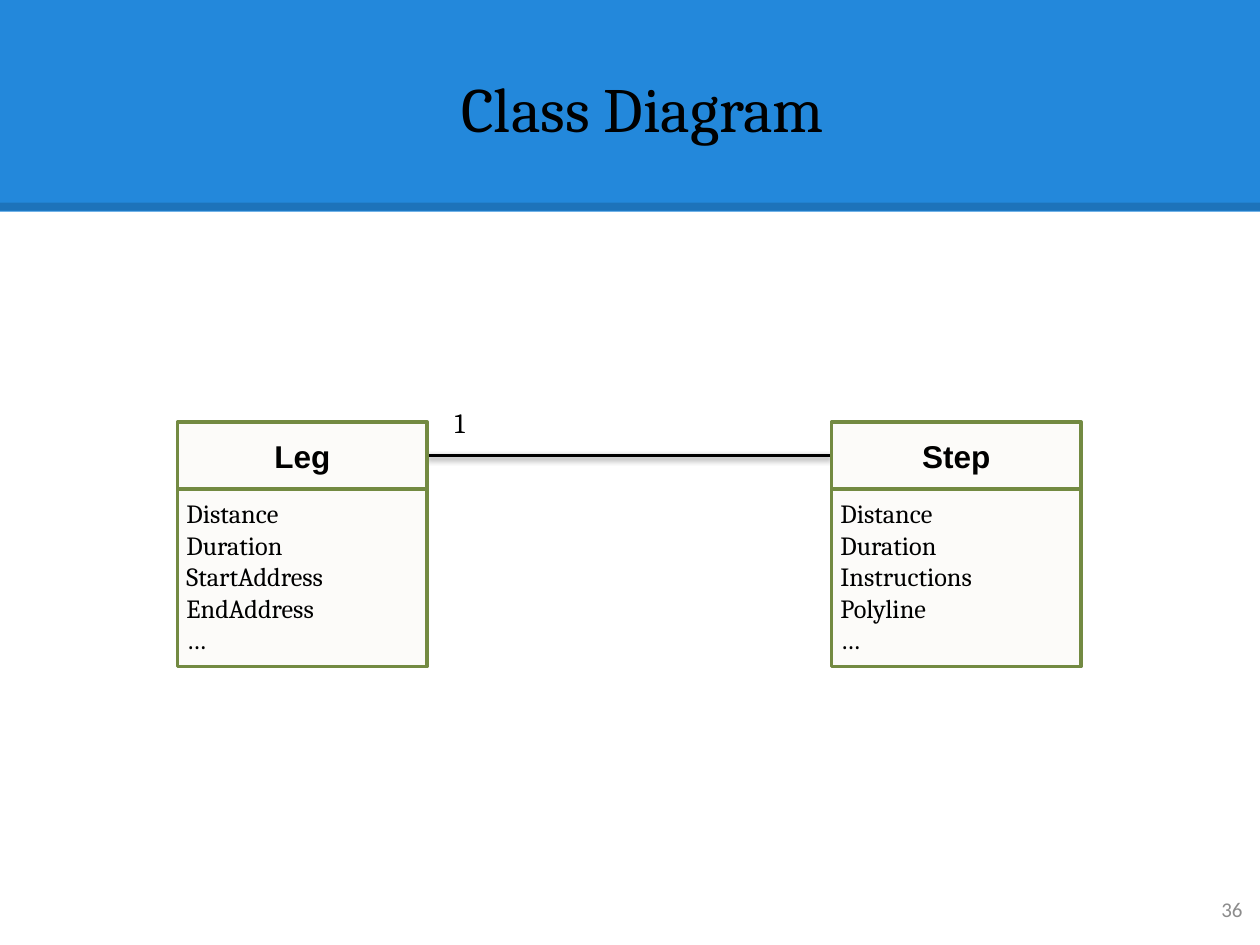
from dataclasses import dataclass

import lxml.etree
import pptx
import pptx.dml.color
import pptx.enum.shapes
import pptx.enum.text
import pptx.oxml
import pptx.oxml.ns
import pptx.util
from pptx.util import Inches

TITLE = "Class Diagram"
PAGE_NUMBER = "36"
MULTIPLICITY = "1"
CLASSES = [
    ("Leg", ["Distance", "Duration", "StartAddress", "EndAddress", "…"]),
    ("Step", ["Distance", "Duration", "Instructions", "Polyline", "…"]),
]


@dataclass(frozen=True)
class Theme:
    banner: str = "2388DB"
    ink: str = "000000"
    muted: str = "8C8C8C"
    box_fill: str = "FCFBF9"
    box_line: str = "738A42"
    serif: str = "Cambria"
    sans: str = "Arial"
    number: str = "Calibri"
    title_size: float = 36
    name_size: float = 18
    label_size: float = 16
    member_size: float = 15
    number_size: float = 12
    line_width: float = 2
    rule_width: float = 4.5


THEME = Theme()
ALIGN = pptx.enum.text.PP_ALIGN
ANCHOR = pptx.enum.text.MSO_ANCHOR

SLIDE_WIDTH, SLIDE_HEIGHT = 10, 7.5
BANNER_HEIGHT, RULE_TOP = 1.68, 1.64
BOX_LEFT, BOX_TOP, BOX_WIDTH, BOX_PITCH = 1.41, 3.35, 1.98, 5.19
NAME_HEIGHT, MEMBERS_HEIGHT = 0.53, 1.41


def color(value):
    return pptx.dml.color.RGBColor.from_string(value)


def write(shape, lines, font, size, ink=THEME.ink, bold=False, align=ALIGN.LEFT,
          anchor=ANCHOR.TOP, inset=0.1, wrap=True):
    frame = shape.text_frame
    frame.word_wrap = wrap
    frame.vertical_anchor = anchor
    frame.margin_left = frame.margin_right = Inches(inset)
    frame.margin_top = frame.margin_bottom = Inches(inset)
    frame.text = "\n".join(lines)
    for paragraph in frame.paragraphs:
        paragraph.alignment = align
        paragraph.font.name = font
        paragraph.font.size = pptx.util.Pt(size)
        paragraph.font.bold = bold
        paragraph.font.color.rgb = color(ink)


def add_text(slide, box, lines, *style, **options):
    shape = slide.shapes.add_textbox(*map(Inches, box))
    write(shape, lines, *style, **options)
    return shape


def add_rectangle(slide, box, fill, outline=None):
    shape = slide.shapes.add_shape(
        pptx.enum.shapes.MSO_SHAPE.RECTANGLE, *map(Inches, box))
    shape.shadow.inherit = False
    shape.fill.solid()
    shape.fill.fore_color.rgb = color(fill)
    if outline:
        shape.line.color.rgb = color(outline)
        shape.line.width = pptx.util.Pt(THEME.line_width)
    else:
        shape.line.fill.background()
    return shape


def add_line(slide, left, right, y, width):
    line = slide.shapes.add_connector(
        pptx.enum.shapes.MSO_CONNECTOR.STRAIGHT, *map(Inches, (left, y, right, y)))
    line.line.color.rgb = color(THEME.ink)
    line.line.width = pptx.util.Pt(width)
    properties = line._element.spPr
    effects = lxml.etree.SubElement(properties, pptx.oxml.ns.qn("a:effectLst"))
    return line, effects


def add_alpha(color_element, percent):
    alpha = lxml.etree.SubElement(color_element, pptx.oxml.ns.qn("a:alpha"))
    alpha.set("val", str(percent * 1000))


def add_shadow(effects):
    shadow = lxml.etree.SubElement(
        effects, pptx.oxml.ns.qn("a:outerShdw"), blurRad="40000", dist="20000",
        dir="5400000", rotWithShape="0")
    shade = lxml.etree.SubElement(
        shadow, pptx.oxml.ns.qn("a:srgbClr"), val=THEME.ink)
    add_alpha(shade, 38)


def add_class(slide, left, name, members):
    members_box = (left, BOX_TOP + NAME_HEIGHT, BOX_WIDTH, MEMBERS_HEIGHT)
    shape = add_rectangle(slide, members_box, THEME.box_fill, THEME.box_line)
    write(shape, members, THEME.serif, THEME.member_size, inset=0.07)
    name_box = (left, BOX_TOP, BOX_WIDTH, NAME_HEIGHT)
    shape = add_rectangle(slide, name_box, THEME.box_fill, THEME.box_line)
    write(shape, [name], THEME.sans, THEME.name_size, bold=True,
          align=ALIGN.CENTER, anchor=ANCHOR.MIDDLE, inset=0.07)


def add_header(slide):
    add_rectangle(slide, (0, 0, SLIDE_WIDTH, BANNER_HEIGHT), THEME.banner)
    rule, effects = add_line(slide, 0, SLIDE_WIDTH, RULE_TOP, THEME.rule_width)
    add_alpha(next(rule._element.spPr.iter(pptx.oxml.ns.qn("a:srgbClr"))), 15)
    add_text(slide, (0.24, 0.33, 9.72, 0.92), [TITLE], THEME.serif,
             THEME.title_size, align=ALIGN.CENTER, anchor=ANCHOR.BOTTOM)


def add_association(slide):
    y = BOX_TOP + NAME_HEIGHT / 2
    line, effects = add_line(
        slide, BOX_LEFT + BOX_WIDTH, BOX_LEFT + BOX_PITCH, y, THEME.line_width)
    add_shadow(effects)
    label = add_text(slide, (3.51, 3.17, 0.43, 0.37), [MULTIPLICITY],
                     THEME.serif, THEME.label_size, wrap=False)
    label.text_frame.margin_top = label.text_frame.margin_bottom = Inches(0.05)
    label.text_frame.auto_size = pptx.enum.text.MSO_AUTO_SIZE.SHAPE_TO_FIT_TEXT


def main():
    presentation = pptx.Presentation()
    presentation.slide_width = Inches(SLIDE_WIDTH)
    presentation.slide_height = Inches(SLIDE_HEIGHT)
    slide = presentation.slides.add_slide(presentation.slide_layouts[6])
    add_header(slide)
    add_text(slide, (9.36, 6.93, 0.6, 0.57), [PAGE_NUMBER], THEME.number,
             THEME.number_size, ink=THEME.muted, align=ALIGN.RIGHT,
             anchor=ANCHOR.MIDDLE)
    add_association(slide)
    for index, (name, members) in enumerate(CLASSES):
        add_class(slide, BOX_LEFT + index * BOX_PITCH, name, members)
    presentation.save("out.pptx")


if __name__ == "__main__":
    main()
